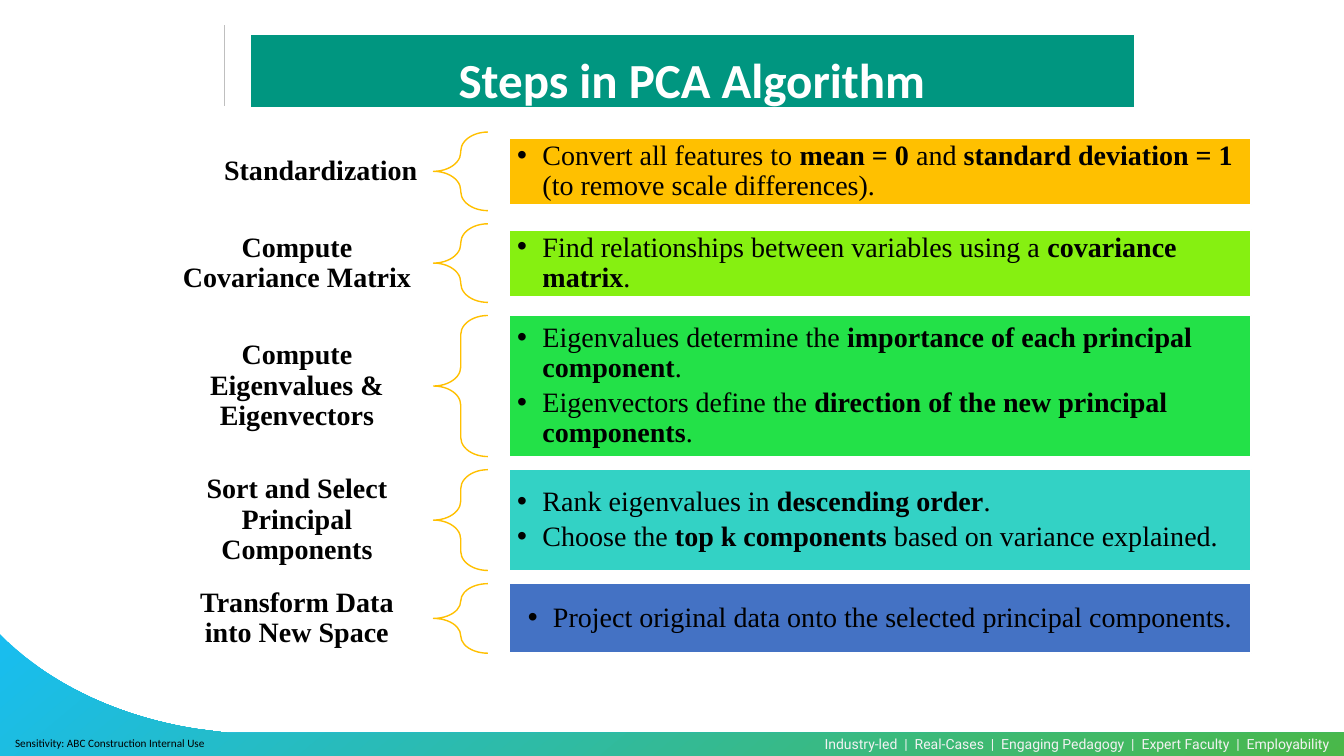
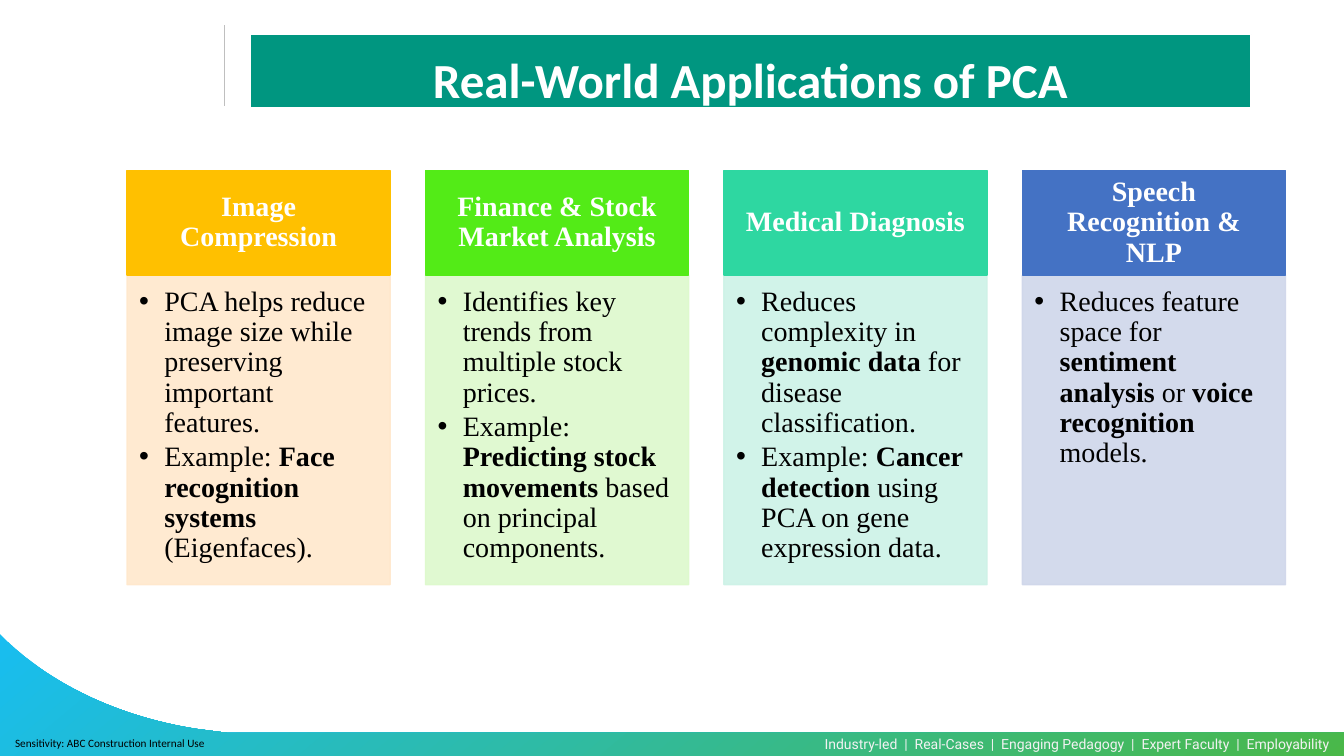
from dataclasses import dataclass

from lxml import etree
from pptx import Presentation
from pptx.dml.color import RGBColor
from pptx.enum.shapes import MSO_CONNECTOR, MSO_SHAPE
from pptx.enum.text import MSO_ANCHOR, MSO_AUTO_SIZE, PP_ALIGN
from pptx.oxml.ns import qn
from pptx.util import Inches, Pt

LEFT, CENTER, RIGHT = PP_ALIGN.LEFT, PP_ALIGN.CENTER, PP_ALIGN.RIGHT
TOP, MIDDLE = MSO_ANCHOR.TOP, MSO_ANCHOR.MIDDLE
NO_AUTO_SIZE, STRAIGHT = MSO_AUTO_SIZE.NONE, MSO_CONNECTOR.STRAIGHT
RECTANGLE, LEFT_BRACE = MSO_SHAPE.RECTANGLE, MSO_SHAPE.LEFT_BRACE
COMPARISON_LAYOUT = 4  # a title and four body placeholders
SLIDE_WIDTH, SLIDE_HEIGHT = 13.33, 7.5


@dataclass(frozen=True)
class Theme:
    white: str = "FFFFFF"
    black: str = "000000"
    teal: str = "009680"
    amber: str = "FFC000"
    blue: str = "4472C4"
    lime: str = "86F011"
    green: str = "23E148"
    turquoise: str = "33D2C5"
    bright_green: str = "53EB17"
    mint: str = "2ED7A1"
    amber_tint: str = "FFE8CC"
    green_tint: str = "DDF9CC"
    mint_tint: str = "CDF2E7"
    blue_tint: str = "CFD6EA"
    rule: str = "BFBFBF"
    footer_text: str = "F2F2F2"
    wave_start: str = "18BDF0"
    wave_end: str = "4AB849"
    title_font: str = "Calibri"
    body_font: str = "Times New Roman"
    footer_font: str = "Roboto"
    title_size: float = 35
    body_size: float = 20
    footer_size: float = 10
    notice_size: float = 8


THEME = Theme()


def rgb(value):
    return RGBColor.from_string(value)


def curve(start, control_1, control_2, end, steps=24):
    """Points along a cubic curve, without its start."""
    for step in range(1, steps + 1):
        t = step / steps
        weights = ((1 - t) ** 3, 3 * t * (1 - t) ** 2, 3 * t * t * (1 - t), t ** 3)
        corners = (start, control_1, control_2, end)
        yield tuple(sum(w * c[axis] for w, c in zip(weights, corners)) for axis in (0, 1))


class Deck:
    """Holds the style and the slide being built."""

    def __init__(self, theme):
        self.theme = theme
        self.presentation = Presentation()
        self.presentation.slide_width = Inches(SLIDE_WIDTH)
        self.presentation.slide_height = Inches(SLIDE_HEIGHT)
        self.layout = self.presentation.slide_layouts[COMPARISON_LAYOUT]
        self.slide = None
        self.free_bodies = []
        self.has_frame = False

    def start_slide(self, title, band_width):
        self.slide = self.presentation.slides.add_slide(self.layout)
        self.free_bodies = [holder for holder in self.slide.placeholders
                            if holder.placeholder_format.idx > 0]
        if not self.has_frame:
            self.build_frame()
        band = self.place(self.slide.shapes.title, 2.48, 0.34, band_width, 0.73)
        self.paint(band, self.theme.teal, self.theme.white)
        self.set_text(band, [title], font=self.theme.title_font, size=self.theme.title_size,
                      color=self.theme.white, bold=True, insets=(0.05, 0.22, 0.05, 0))

    # Parts shared by all slides, moved into the layout
    def build_frame(self):
        theme = self.theme
        parts = [self.rule(2.23, 0.25, 1.05), self.wave()]
        slogan = self.text_box(8.03, 7.25, 5.3, 0.25)
        self.set_text(slogan, ["Industry-led  |  Real-Cases  |  Engaging Pedagogy  |  "
                               "Expert Faculty  |  Employability"],
                      font=theme.footer_font, size=theme.footer_size,
                      color=theme.footer_text, spacing=1, anchor=TOP,
                      insets=(0.1, 0.05, 0.1, 0))
        notice = self.text_box(0.15, 7.25, 2.1, 0.25)
        self.set_text(notice, ["Sensitivity: ABC Construction Internal Use"],
                      font=theme.title_font, size=theme.notice_size, align=LEFT, spacing=1)
        for number, part in enumerate(parts + [slogan, notice], start=101):
            part.element.xpath(".//p:cNvPr")[0].set("id", str(number))
            self.layout.shapes.element.append(part.element)
        self.has_frame = True

    def rule(self, x, top, bottom):
        line = self.slide.shapes.add_connector(
            STRAIGHT, Inches(x), Inches(top), Inches(x), Inches(bottom))
        line.line.color.rgb = rgb(self.theme.rule)
        line.line.width = Pt(0.5)
        etree.SubElement(line.element.spPr, qn("a:effectLst"))
        return line

    def wave(self):
        outline = [(0.07, 6.36),
                   *curve((0.07, 6.36), (0.53, 6.8), (1.19, 7.11), (1.94, 7.23)),
                   (2.25, 7.27), (SLIDE_WIDTH, 7.27),
                   (SLIDE_WIDTH, SLIDE_HEIGHT), (0, SLIDE_HEIGHT)]
        builder = self.slide.shapes.build_freeform(Inches(0), Inches(6.29))
        builder.add_line_segments([(Inches(x), Inches(y)) for x, y in outline], close=True)
        wave = builder.convert_to_shape()
        wave.shadow.inherit = False
        wave.line.fill.background()
        wave.fill.gradient()
        wave.fill.gradient_angle = 310
        colors = (self.theme.wave_start, self.theme.wave_end)
        for stop, color in zip(wave.fill.gradient_stops, colors):
            stop.color.rgb = rgb(color)
        return wave

    # Basic elements
    def place(self, shape, *box):
        for name, value in zip(("left", "top", "width", "height"), box):
            setattr(shape, name, Inches(value))
        return shape

    def paint(self, shape, fill, line, opacity=None):
        if fill:
            shape.fill.solid()
            shape.fill.fore_color.rgb = rgb(fill)
        else:
            shape.fill.background()
        shape.line.color.rgb = rgb(line)
        shape.line.width = Pt(1)
        if opacity:
            for color in shape.element.xpath("./p:spPr//a:srgbClr"):
                etree.SubElement(color, qn("a:alpha"), val=str(opacity * 1000))

    def text_box(self, *box):
        return self.slide.shapes.add_textbox(*map(Inches, box))

    def shape(self, kind, box, fill, line):
        shape = self.slide.shapes.add_shape(kind, *map(Inches, box))
        shape.shadow.inherit = False
        self.paint(shape, fill, line)
        return shape

    def set_text(self, shape, paragraphs, font=None, size=None, color=None, bold=False,
                 align=CENTER, anchor=MIDDLE, insets=(0, 0, 0, 0), spacing=0.9,
                 bullets=False):
        """Fill in paragraphs; text between ** marks is bold."""
        frame = shape.text_frame
        left, top, right, bottom = map(Inches, insets)
        frame_format = {"word_wrap": True, "auto_size": NO_AUTO_SIZE,
                        "vertical_anchor": anchor, "margin_left": left, "margin_top": top,
                        "margin_right": right, "margin_bottom": bottom}
        for name, value in frame_format.items():
            setattr(frame, name, value)
        paragraph_format = {"alignment": align, "line_spacing": spacing,
                            "space_before": Pt(0), "space_after": Pt(3 if bullets else 0)}
        for index, text in enumerate(paragraphs):
            paragraph = frame.add_paragraph() if index else frame.paragraphs[0]
            for name, value in paragraph_format.items():
                setattr(paragraph, name, value)
            self.set_bullet(paragraph, bullets)
            for position, piece in enumerate(text.split("**")):
                if not piece:
                    continue
                run = paragraph.add_run()
                run.text = piece
                run_format = {"name": font or self.theme.body_font,
                              "size": Pt(size or self.theme.body_size),
                              "bold": bold or position % 2 == 1}
                for name, value in run_format.items():
                    setattr(run.font, name, value)
                run.font.color.rgb = rgb(color or self.theme.black)

    def set_bullet(self, paragraph, shown):
        indent = Inches(0.25) if shown else 0
        properties = paragraph._p.get_or_add_pPr()
        properties.set("marL", str(indent))
        properties.set("indent", str(-indent))
        if shown:
            etree.SubElement(properties, qn("a:buFont"), typeface="Arial")
            etree.SubElement(properties, qn("a:buChar"), char="•")
        else:
            etree.SubElement(properties, qn("a:buNone"))

    # Content elements
    def bullet_panel(self, box, items, fill, line, opacity=None, **text_format):
        """A filled list, in a body placeholder while the layout has one left."""
        if self.free_bodies:
            panel = self.place(self.free_bodies.pop(0), *box)
        else:
            panel = self.text_box(*box)
        self.paint(panel, fill, line, opacity)
        self.set_text(panel, items, bullets=True, **text_format)

    def step(self, top, height, panel_height, label, items, fill,
             label_align=CENTER, list_align=LEFT):
        label_box = self.text_box(1.59, top, 2.71, height)
        self.set_text(label_box, [label], bold=True, align=label_align,
                      insets=(0.16, 0, 0.16, 0))
        brace = self.shape(LEFT_BRACE, (4.3, top, 0.54, height), None, self.theme.amber)
        brace.adjustments[0] = 0.35
        panel_top = top + (height - panel_height) / 2
        self.bullet_panel((5.05, panel_top, 7.36, panel_height), items, fill,
                          self.theme.white, align=list_align, insets=(0.08,) * 4)

    def application(self, left, heading, items, fill, tint):
        top, width, heading_height = 1.69, 2.61, 1.04
        header = self.shape(RECTANGLE, (left, top, width, heading_height), fill, fill)
        self.set_text(header, [heading], color=self.theme.white, bold=True,
                      insets=(0.16, 0.09, 0.16, 0.09))
        self.bullet_panel((left, top + heading_height, width, 3.07), items, tint, tint,
                          opacity=90, align=LEFT, anchor=TOP,
                          insets=(0.12, 0.12, 0.16, 0.17))


# Row height, panel height, label, items, fill, alignment exceptions
STEPS = [
    (0.78, 0.66, "Standardization",
     ["Convert all features to **mean = 0** and **standard deviation = 1** "
      "(to remove scale differences)."], THEME.amber, {"label_align": RIGHT}),
    (0.78, 0.66, "Compute Covariance Matrix",
     ["Find relationships between variables using a **covariance matrix**."],
     THEME.lime, {}),
    (1.4, 1.4, "Compute Eigenvalues & Eigenvectors",
     ["Eigenvalues determine the **importance of each principal component**.",
      "Eigenvectors define the **direction of the new principal components**."],
     THEME.green, {}),
    (1, 1, "Sort and Select Principal Components",
     ["Rank eigenvalues in **descending order**.",
      "Choose the **top k components** based on variance explained."],
     THEME.turquoise, {}),
    (0.69, 0.69, "Transform Data into New Space",
     ["Project original data onto the selected principal components."],
     THEME.blue, {"list_align": CENTER}),
]

# Heading, items, heading fill, list tint
APPLICATIONS = [
    ("Image Compression",
     ["PCA helps reduce image size while preserving important features.",
      "Example: **Face recognition systems** (Eigenfaces)."],
     THEME.amber, THEME.amber_tint),
    ("Finance & Stock Market Analysis",
     ["Identifies key trends from multiple stock prices.",
      "Example: **Predicting stock movements** based on principal components."],
     THEME.bright_green, THEME.green_tint),
    ("Medical Diagnosis",
     ["Reduces complexity in **genomic data** for disease classification.",
      "Example: **Cancer detection** using PCA on gene expression data."],
     THEME.mint, THEME.mint_tint),
    ("Speech Recognition & NLP",
     ["Reduces feature space for **sentiment analysis** or **voice recognition** models."],
     THEME.blue, THEME.blue_tint),
]


def main():
    deck = Deck(THEME)

    # Steps in rows with equal gaps
    deck.start_slide("Steps in PCA Algorithm", band_width=8.77)
    top, gap = 1.31, 0.13
    for height, panel_height, label, items, fill, alignment in STEPS:
        deck.step(top, height, panel_height, label, items, fill, **alignment)
        top += height + gap

    # Applications in equal columns
    deck.start_slide("Real-World Applications of PCA", band_width=9.93)
    for column, application in enumerate(APPLICATIONS):
        deck.application(1.26 + 2.96 * column, *application)

    deck.presentation.save("out.pptx")


if __name__ == "__main__":
    main()
